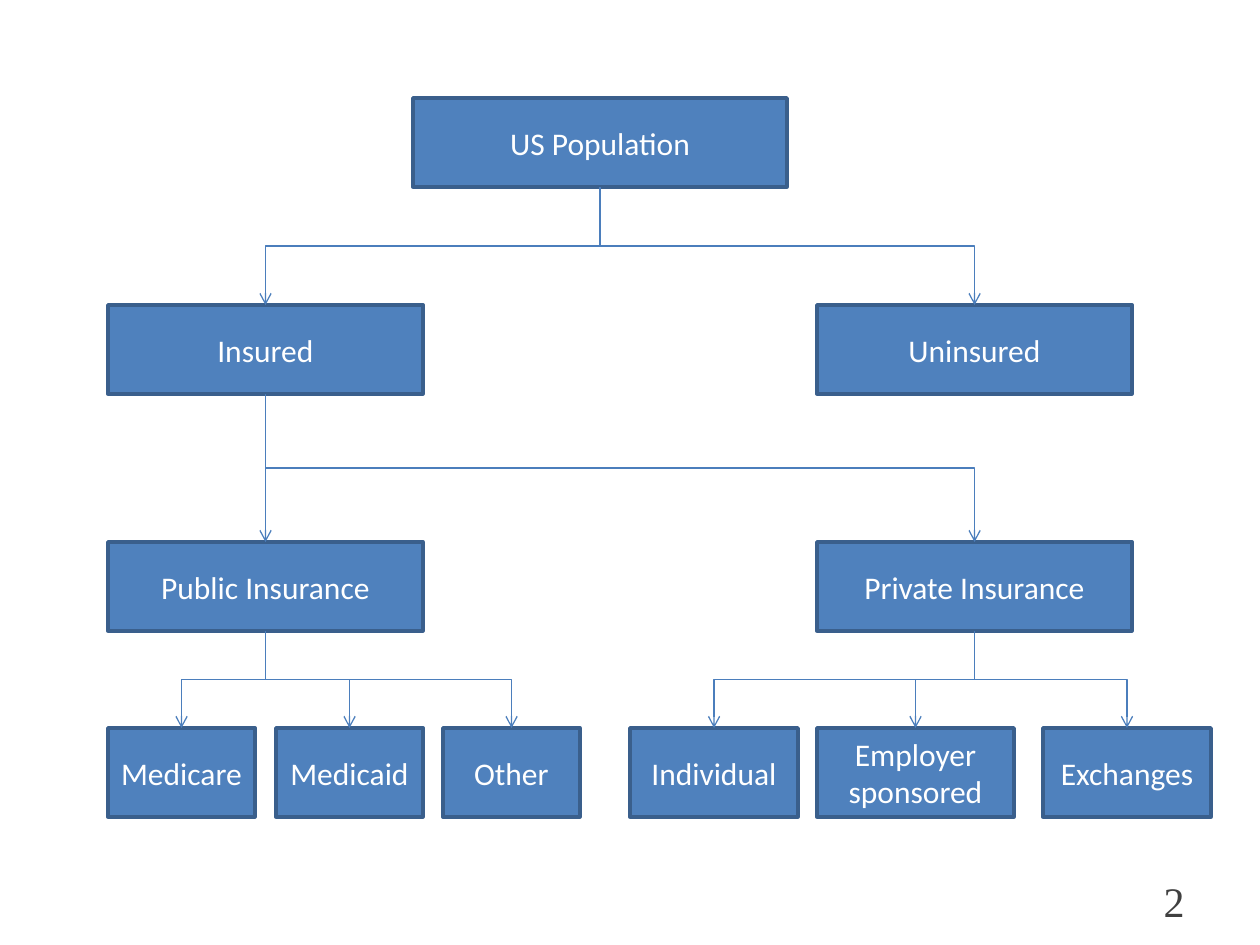
from dataclasses import dataclass

from lxml.etree import SubElement
from pptx import Presentation
from pptx.dml.color import RGBColor
from pptx.enum.shapes import MSO_CONNECTOR as Link, MSO_SHAPE as Form
from pptx.enum.text import MSO_ANCHOR as Anchor, PP_ALIGN as Align
from pptx.oxml.ns import qn
from pptx.util import Pt

PX = 914400 / 126
HUES = {"box": "4F81BD", "edge": "3A5F8C", "link": "4B7EBC",
        "label": "FFFFFF", "page": "404040"}
TALL = 89
BOTTOM, TOP = 2, 0  # connection sites of a rectangle


@dataclass
class Node:
    name: str
    x: int
    y: int
    wide: int
    boss: str = ""


# Rows of the tree, from the top down
ROWS = [98, 305, 542, 728]
NODES = [
    Node("US Population", 413, ROWS[0], 374),
    Node("Insured", 108, ROWS[1], 315, "US Population"),
    Node("Uninsured", 817, ROWS[1], 315, "US Population"),
    Node("Public Insurance", 108, ROWS[2], 315, "Insured"),
    Node("Private Insurance", 817, ROWS[2], 315, "Insured"),
    Node("Medicare", 108, ROWS[3], 147, "Public Insurance"),
    Node("Medicaid", 276, ROWS[3], 147, "Public Insurance"),
    Node("Other", 443, ROWS[3], 137, "Public Insurance"),
    Node("Individual", 630, ROWS[3], 168, "Private Insurance"),
    Node("Employer sponsored", 817, ROWS[3], 197, "Private Insurance"),
    Node("Exchanges", 1043, ROWS[3], 168, "Private Insurance"),
]


def emu(px: int) -> int:
    return round(px * PX)


def hue(key: str) -> RGBColor:
    return RGBColor.from_string(HUES[key])


def add_text(shape, text: str, font: str, size: int, key: str, align) -> None:
    frame = shape.text_frame
    frame.word_wrap = True
    frame.vertical_anchor = Anchor.MIDDLE
    para = frame.paragraphs[0]
    para.alignment = align
    run = para.add_run()
    run.text = text
    run.font.name = font
    run.font.size = Pt(size)
    run.font.color.rgb = hue(key)


def add_node(slide, node: Node):
    box = slide.shapes.add_shape(
        Form.RECTANGLE, emu(node.x), emu(node.y), emu(node.wide), emu(TALL))
    box.shadow.inherit = False
    box.fill.solid()
    box.fill.fore_color.rgb = hue("box")
    box.line.color.rgb = hue("edge")
    box.line.width = Pt(2)
    add_text(box, node.name, "Calibri", 18, "label", Align.CENTER)
    return box


def add_link(slide, boss, kid) -> None:
    line = slide.shapes.add_connector(Link.ELBOW, 0, 0, 0, 0)
    line.begin_connect(boss, BOTTOM)
    line.end_connect(kid, TOP)
    x1, y1 = boss.left + boss.width // 2, boss.top + boss.height
    x2, y2 = kid.left + kid.width // 2, kid.top

    # Turn the elbow so that it leaves downwards
    drop, span = y2 - y1, abs(x2 - x1)
    line.left, line.top = (x1 + x2 - drop) // 2, (y1 + y2 - span) // 2
    line.width, line.height = drop, span
    props = line._element.spPr
    frame = props.find(qn("a:xfrm"))
    right = x2 > x1
    frame.set("flipH", "1" if right else "0")
    frame.set("rot", str((270 if right else 90) * 60000))

    # Thin stroke with an open arrowhead
    line.line.color.rgb = hue("link")
    line.line.width = Pt(0.75)
    SubElement(props.find(qn("a:ln")), qn("a:tailEnd"), type="arrow")
    SubElement(props, qn("a:effectLst"))


def main() -> None:
    deck = Presentation()
    deck.slide_width, deck.slide_height = emu(1260), emu(945)
    slide = deck.slides.add_slide(deck.slide_layouts[6])

    # Tree of boxes, then the links between them
    boxes = {node.name: add_node(slide, node) for node in NODES}
    for node in NODES:
        if node.boss:
            add_link(slide, boxes[node.boss], boxes[node.name])

    # Page number
    page = slide.shapes.add_textbox(emu(903), emu(876), emu(294), emu(50))
    add_text(page, "2", "Times New Roman", 24, "page", Align.RIGHT)

    deck.save("out.pptx")


if __name__ == "__main__":
    main()
